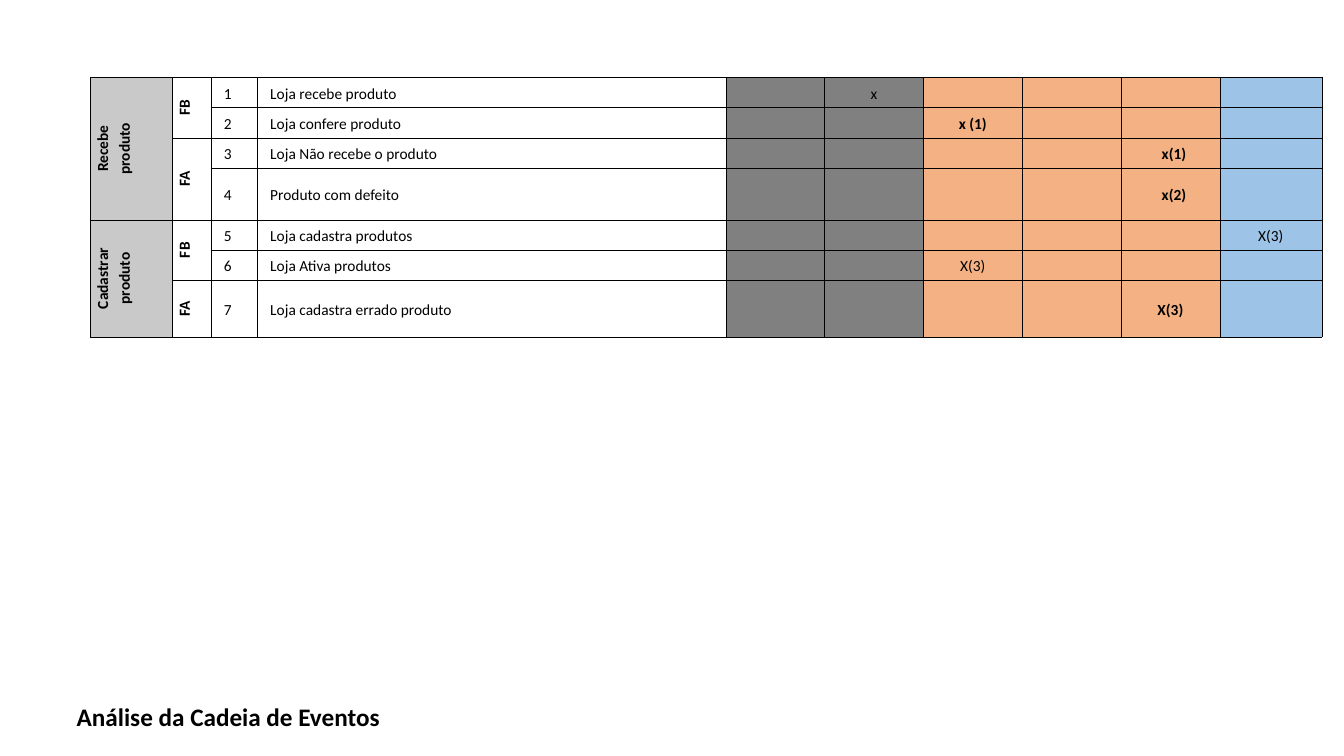
from pptx import Presentation
from pptx.util import Cm, Pt
from pptx.dml.color import RGBColor as RGB
from pptx.enum.text import PP_ALIGN as Align, MSO_ANCHOR as Anchor
from lxml.etree import SubElement as Sub
from pptx.oxml.ns import qn

FONT = "Calibri"
BLACK, GREY, SILVER = "000000", "808080", "C9C9C9"
ORANGE, BLUE = "F4B183", "9DC3E6"

WIDTHS = [2.06, 0.97, 1.17, 11.81] + [2.49] * 5 + [2.57]
HEIGHT = 0.76
FILLS = [None] * 4 + [GREY] * 2 + [ORANGE] * 3 + [BLUE]

STEPS = ["Loja recebe produto", "Loja confere produto",
         "Loja Não recebe o produto", "Produto com defeito",
         "Loja cadastra produtos", "Loja Ativa produtos",
         "Loja cadastra errado produto"]
# Upright labels: row, column, rows spanned, text, fill
LABELS = [(0, 0, 4, "Recebe\nproduto", SILVER),
          (4, 0, 3, "Cadastrar produto", SILVER),
          (0, 1, 2, "FB", None), (2, 1, 2, "FA", None),
          (4, 1, 2, "FB", None), (6, 1, 1, "FA", None)]
# Marks: row, column, text, bold, left indent in cm
MARKS = [(0, 5, "x", False, 0), (1, 6, "x (1)", True, 0),
         (2, 8, "x(1)", True, 0.18), (3, 8, "x(2)", True, 0.18),
         (4, 9, "X(3)", False, 0), (5, 6, "X(3)", False, 0),
         (6, 8, "X(3)", True, 0)]


def color(code):
    return RGB.from_string(code)


def style(par, size, bold):
    for run in par.runs:
        font = run.font
        font.name, font.size, font.bold = FONT, Pt(size), bold
        font.color.rgb = color(BLACK)


def paint(cell, fill):
    if fill:
        cell.fill.solid()
        cell.fill.fore_color.rgb = color(fill)
    else:
        cell.fill.background()


def border(cell):
    props = cell._tc.get_or_add_tcPr()
    for side in ("lnL", "lnR", "lnT", "lnB"):
        line = Sub(props, qn("a:" + side), w=str(Pt(0.25)))
        Sub(Sub(line, qn("a:solidFill")), qn("a:srgbClr"), val=BLACK)


def prepare(cell, fill):
    cell.margin_left = cell.margin_right = Cm(0.13)
    cell.margin_top = cell.margin_bottom = 0
    cell.vertical_anchor = Anchor.MIDDLE
    border(cell)
    paint(cell, fill)
    # Size of the empty line, so that blank cells stay low
    Sub(cell.text_frame.paragraphs[0]._p, qn("a:endParaRPr"), sz="1100")


def write(cell, text, bold=False, align=Align.CENTER, indent=0):
    cell.text_frame.text = text
    for par in cell.text_frame.paragraphs:
        par.alignment, par.line_spacing = align, 1.15
        if indent:
            par._p.get_or_add_pPr().set("marL", str(Cm(indent)))
        style(par, 11, bold)


def add_title(slide, text):
    title = slide.shapes.title
    title.left, title.top = Cm(1.68), Cm(17.55)
    title.width, title.height = Cm(16.89), Cm(1.02)
    frame = title.text_frame
    frame.text = text
    frame.vertical_anchor = Anchor.MIDDLE
    frame.paragraphs[0].alignment = Align.LEFT
    style(frame.paragraphs[0], 18, True)


def add_grid(slide):
    count = len(STEPS)
    grid = slide.shapes.add_table(count, len(WIDTHS), Cm(2.28), Cm(1.95),
                                  Cm(sum(WIDTHS)), Cm(HEIGHT * count)).table
    grid.first_row = grid.horz_banding = False
    for col, width in zip(grid.columns, WIDTHS):
        col.width = Cm(width)
    for row in grid.rows:
        row.height = Cm(HEIGHT)
        for cell, fill in zip(row.cells, FILLS):
            prepare(cell, fill)

    # Numbered steps
    for row, step in enumerate(STEPS):
        for col, text in ((2, str(row + 1)), (3, step)):
            write(grid.cell(row, col), text, align=Align.LEFT, indent=0.2)

    # Upright labels
    for row, col, span, text, fill in LABELS:
        cell = grid.cell(row, col)
        if span > 1:
            cell.merge(grid.cell(row + span - 1, col))
        paint(cell, fill)
        cell._tc.get_or_add_tcPr().set("vert", "vert270")
        write(cell, text, bold=True)

    # Marks in the coloured columns
    for row, col, text, bold, indent in MARKS:
        write(grid.cell(row, col), text, bold, indent=indent)


def main():
    deck = Presentation()
    deck.slide_width, deck.slide_height = Cm(33.87), Cm(19.05)
    slide = deck.slides.add_slide(deck.slide_layouts[5])
    add_title(slide, "Análise da Cadeia de Eventos")
    add_grid(slide)
    deck.save("out.pptx")


main()
